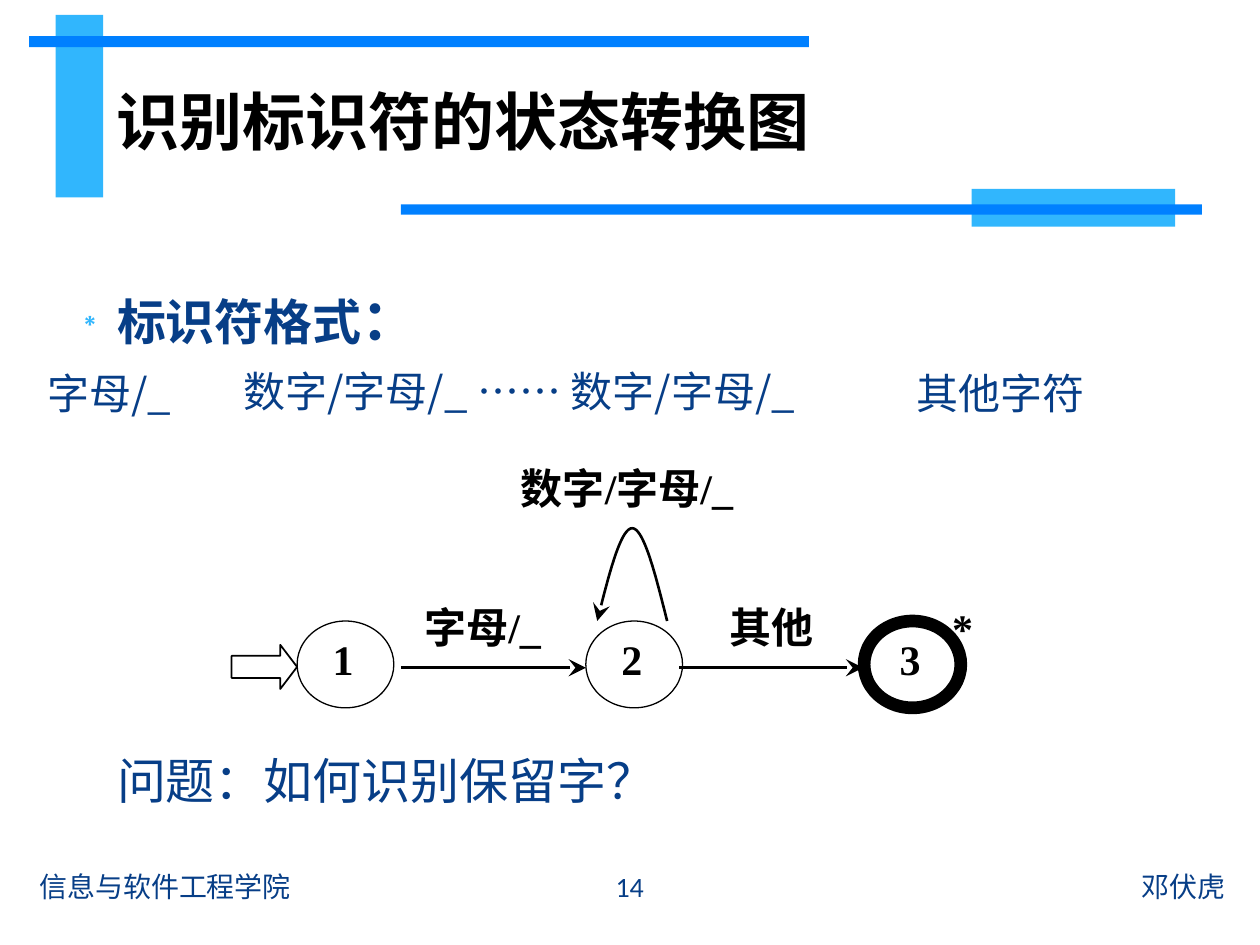
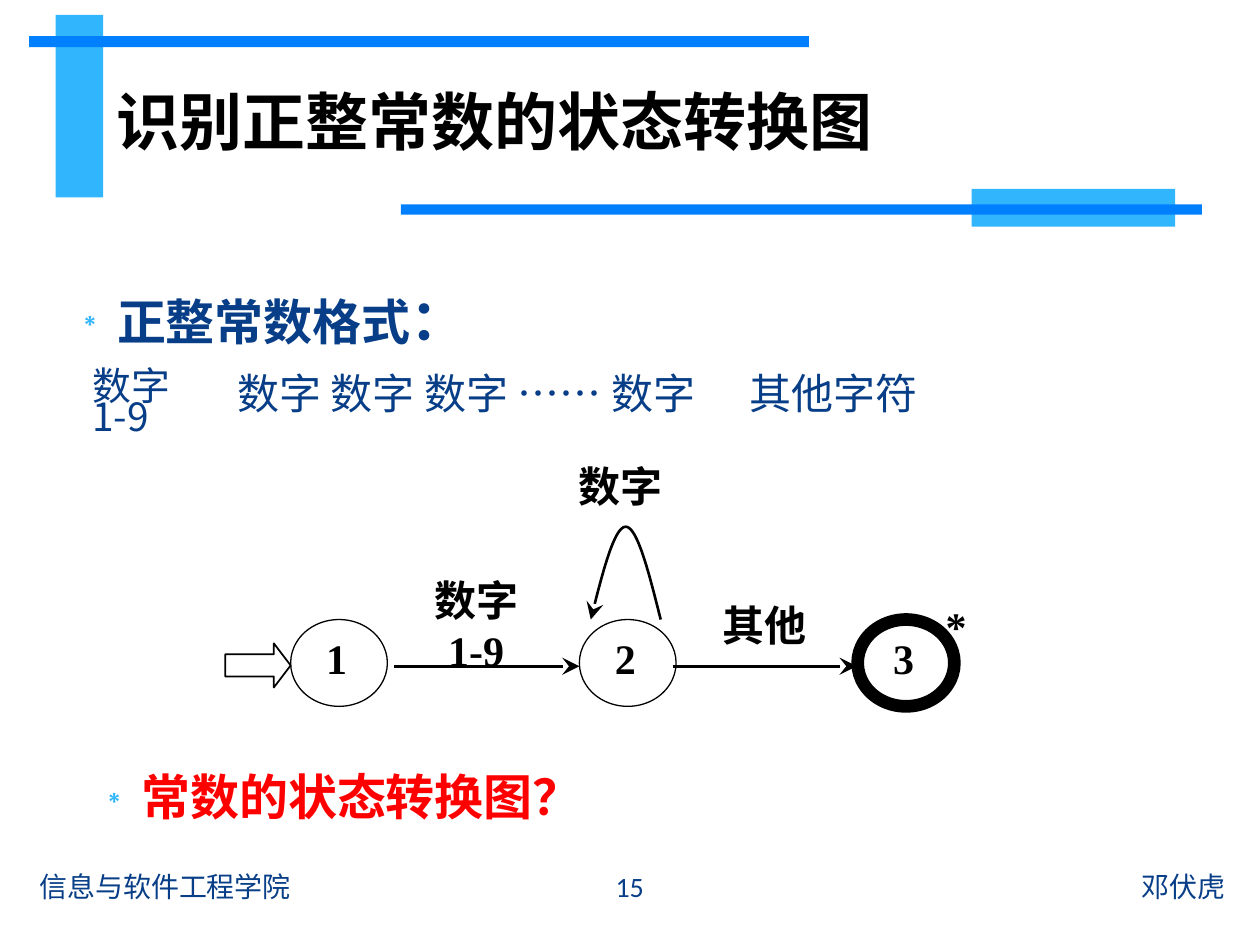
from dataclasses import dataclass, replace
from typing import Optional

from lxml.etree import SubElement
from pptx import Presentation
from pptx.dml.color import RGBColor
from pptx.enum.shapes import MSO_CONNECTOR as Connector, MSO_SHAPE as Preset
from pptx.enum.text import MSO_ANCHOR as Anchor, PP_ALIGN as Align
from pptx.oxml.ns import qn
from pptx.util import Cm, Pt

# Shared colours and fonts
BLACK, NAVY, SKY, BLUE, RED = "000000", "073E87", "31B6FD", "0080FF", "FF0000"
SANS, SERIF = "Noto Sans CJK SC", "Times New Roman"


@dataclass(frozen=True)
class Style:
    size: float
    font: str = SANS
    color: str = NAVY
    bold: bool = False
    align: Align = Align.LEFT
    anchor: Anchor = Anchor.TOP
    line_spacing: Optional[float] = None
    space_before: float = 0
    bullet: bool = False
    wrap: bool = True


@dataclass(frozen=True)
class Box:
    left: float
    top: float
    width: float
    height: float

    def lengths(self) -> tuple:
        return Cm(self.left), Cm(self.top), Cm(self.width), Cm(self.height)

    def moved(self, x: float, y: float) -> "Box":
        return replace(self, left=self.left + x, top=self.top + y)


@dataclass(frozen=True)
class TextItem:
    text: str
    box: Box
    style: Style


@dataclass(frozen=True)
class Diagram:
    left: float
    top: float
    first_label: str
    loop_label: str


@dataclass(frozen=True)
class SlideContent:
    number: int
    title: str
    title_font: str
    heading: str
    diagram: Diagram
    texts: tuple


TITLE = Style(36, color=BLACK, bold=True, anchor=Anchor.MIDDLE)
HEADING = Style(28, bold=True, space_before=6.4, bullet=True)
QUESTION = Style(28, line_spacing=0.7, space_before=5.6)
RED_QUESTION = Style(28, color=RED, bold=True, space_before=5.6, bullet=True)
FORMAT = Style(24, line_spacing=0.7, space_before=4.8)
TIGHT_FORMAT = Style(22.2, line_spacing=0.5, space_before=4.4)
FOOTER = Style(16, "Calibri", anchor=Anchor.MIDDLE)
LABEL = Style(24, SERIF, BLACK, True, Align.CENTER, Anchor.MIDDLE, wrap=False)
STATE = Style(24, SERIF, BLACK, True, Align.JUSTIFY)

TITLE_BOX = Box(2.09, 1.14, 19.61, 2.59)
HEADING_BOX = Box(1.22, 5.61, 7.77, 1.7)
BANDS = (
    (Box(1.12, 0.3, 0.96, 3.68), SKY),
    (Box(0.59, 0.73, 15.72, 0.22), BLUE),
    (Box(19.59, 3.81, 4.1, 0.76), SKY),
    (Box(8.08, 4.12, 16.15, 0.21), BLUE),
)
FOOTER_TOP, FOOTER_HEIGHT = 17.36, 1.02

# Diagram measures, relative to its top left corner
STATE_LEFTS = (1.32, 7.14, 12.75)
STATE_WIDTH, STATE_HEIGHT = 1.95, 1.75
ARROW_SPANS = ((3.41, 7.14), (9.02, 12.73))
ARROW_Y = 0.94
LOOP_LEFT, LOOP_WIDTH, LOOP_HEIGHT = 7.37, 1.41, 1.87
LOOP_STEPS = 24


def rgb(color: str) -> RGBColor:
    return RGBColor.from_string(color)


# Text helpers
def format_run(run, style: Style) -> None:
    run.font.size = Pt(style.size)
    run.font.name = style.font
    run.font.bold = style.bold
    run.font.color.rgb = rgb(style.color)
    SubElement(run._r.get_or_add_rPr(), qn("a:ea"), typeface=SANS)


def add_bullet(paragraph) -> None:
    properties = paragraph._p.get_or_add_pPr()
    properties.set("marL", str(Cm(0.89)))
    properties.set("indent", str(-Cm(0.89)))
    SubElement(SubElement(properties, qn("a:buClr")), qn("a:srgbClr"), val=SKY)
    SubElement(properties, qn("a:buSzPct"), val="70000")
    SubElement(properties, qn("a:buFont"), typeface=SERIF)
    SubElement(properties, qn("a:buChar"), char="∗")


def write_text(shape, text: str, style: Style) -> None:
    frame = shape.text_frame
    frame.text = text
    frame.word_wrap = style.wrap
    frame.vertical_anchor = style.anchor
    for paragraph in frame.paragraphs:
        paragraph.alignment = style.align
        paragraph.space_before = Pt(style.space_before)
        if style.line_spacing:
            paragraph.line_spacing = style.line_spacing
        if style.bullet:
            add_bullet(paragraph)
        for run in paragraph.runs:
            format_run(run, style)


def add_text(slide, item: TextItem):
    shape = slide.shapes.add_textbox(*item.box.lengths())
    write_text(shape, item.text, item.style)
    return shape


# Shape helpers
def add_filled(slide, box: Box, color: str) -> None:
    shape = slide.shapes.add_shape(Preset.RECTANGLE, *box.lengths())
    shape.shadow.inherit = False
    shape.fill.solid()
    shape.fill.fore_color.rgb = rgb(color)
    shape.line.fill.background()


def outline(shape, width: float) -> None:
    shape.shadow.inherit = False
    shape.fill.background()
    shape.line.color.rgb = rgb(BLACK)
    shape.line.width = Pt(width)


def add_arrowhead(shape) -> None:
    SubElement(shape.line._get_or_add_ln(), qn("a:tailEnd"),
               type="stealth", w="lg", len="lg")


def add_arrow(slide, start: float, end: float, y: float) -> None:
    arrow = slide.shapes.add_connector(
        Connector.STRAIGHT, Cm(start), Cm(y), Cm(end), Cm(y))
    arrow.line.color.rgb = rgb(BLACK)
    arrow.line.width = Pt(1.5)
    add_arrowhead(arrow)
    SubElement(arrow._element.spPr, qn("a:effectLst"))


def add_loop(slide, left: float, bottom: float) -> None:
    """Draw two mirrored Bezier halves from right foot to left foot."""
    half = LOOP_WIDTH / 2
    points = []
    for step in range(-LOOP_STEPS, LOOP_STEPS + 1):
        t = abs(step) / LOOP_STEPS  # 0 at the peak, 1 at a foot
        across = t * (1 - t) ** 2 + 2 * t ** 2 * (1 - t) + t ** 3
        down = 3 * t ** 2 * (1 - t) * 0.5 + t ** 3
        side = 1 if step < 0 else -1
        points.append((Cm(left + half * (1 + side * across)),
                       Cm(bottom - LOOP_HEIGHT * (1 - down))))
    builder = slide.shapes.build_freeform(*points[0])
    builder.add_line_segments(points[1:], close=False)
    loop = builder.convert_to_shape()
    outline(loop, 1.5)
    add_arrowhead(loop)


def add_state(slide, name: str, box: Box, line_width: float) -> None:
    state = slide.shapes.add_shape(Preset.OVAL, *box.lengths())
    outline(state, line_width)
    write_text(state, name, STATE)
    frame = state.text_frame
    frame.margin_left = frame.margin_right = Cm(0.43)
    frame.margin_top = frame.margin_bottom = 0


# Slide parts
def add_frame(slide, content: SlideContent) -> None:
    for box, color in BANDS:
        add_filled(slide, box, color)
    footers = (
        ("邓伏虎", 14.43, 10.52, Align.RIGHT),
        ("信息与软件工程学院", 0.55, 10.52, Align.LEFT),
        (str(content.number), 11.08, 3.23, Align.CENTER),
    )
    for text, left, width, align in footers:
        box = Box(left, FOOTER_TOP, width, FOOTER_HEIGHT)
        add_text(slide, TextItem(text, box, replace(FOOTER, align=align)))


def add_title(slide, content: SlideContent) -> None:
    title = slide.shapes.title
    title.left, title.top, title.width, title.height = TITLE_BOX.lengths()
    write_text(title, content.title, replace(TITLE, font=content.title_font))


def add_heading(slide, text: str) -> None:
    heading = add_text(slide, TextItem(text, HEADING_BOX, HEADING))
    colon = heading.text_frame.paragraphs[0].add_run()
    colon.text = "："
    format_run(colon, replace(HEADING, size=32))


def add_diagram(slide, diagram: Diagram) -> None:
    x, y = diagram.left, diagram.top
    for start, end in ARROW_SPANS:
        add_arrow(slide, x + start, x + end, y + ARROW_Y)
    add_loop(slide, x + LOOP_LEFT, y)
    for index, left in enumerate(STATE_LEFTS, start=1):
        box = Box(left, 0, STATE_WIDTH, STATE_HEIGHT).moved(x, y)
        is_final = index == len(STATE_LEFTS)
        add_state(slide, str(index), box, 7.25 if is_final else 0.75)
    labels = (
        (diagram.first_label, Box(3.06, -0.71, 4, 1.63)),
        ("其他", Box(8.88, -0.71, 4, 1.63)),
        (diagram.loop_label, Box(4.47, -3.51, 7, 1.63)),
        ("*", Box(13.92, -0.46, 1.63, 1.17)),
    )
    for text, box in labels:
        add_text(slide, TextItem(text, box.moved(x, y), LABEL))
    entry = slide.shapes.add_shape(
        Preset.RIGHT_ARROW, *Box(0, 0.48, 1.32, 0.89).moved(x, y).lengths())
    entry.adjustments[0], entry.adjustments[1] = 0.5, 0.38
    outline(entry, 1)


SLIDES = (
    SlideContent(
        14, "识别标识符的状态转换图", SANS, "标识符格式",
        Diagram(4.67, 12.52, "字母/_", "数字/字母/_"),
        (
            TextItem("字母/_", Box(0.71, 7.57, 3.4, 1.37), FORMAT),
            TextItem("其他字符", Box(18.23, 7.57, 4.29, 1.37), FORMAT),
            TextItem("数字/字母/_ …… 数字/字母/_",
                     Box(4.66, 7.52, 15.7, 1.37), FORMAT),
            TextItem("问题：如何识别保留字？",
                     Box(2.11, 15.32, 21.79, 1.37), QUESTION),
        )),
    SlideContent(
        15, "识别正整常数的状态转换图", "Arial", "正整常数格式",
        Diagram(4.54, 12.49, "数字\n1-9", "数字"),
        (
            TextItem("数字\n1-9", Box(1.61, 7.57, 2.08, 1.37), TIGHT_FORMAT),
            TextItem("其他字符", Box(14.86, 7.57, 4.29, 1.37), FORMAT),
            TextItem("数字 数字 数字 …… 数字",
                     Box(4.54, 7.57, 12.47, 1.37), FORMAT),
            TextItem("常数的状态转换图？",
                     Box(1.71, 15.32, 13.23, 1.7), RED_QUESTION),
        )),
)


def main() -> None:
    presentation = Presentation()
    presentation.slide_width, presentation.slide_height = Cm(25.4), Cm(19.05)
    title_only = presentation.slide_layouts[5]
    for content in SLIDES:
        slide = presentation.slides.add_slide(title_only)
        add_frame(slide, content)
        add_title(slide, content)
        add_diagram(slide, content.diagram)
        add_heading(slide, content.heading)
        for item in content.texts:
            add_text(slide, item)
    presentation.save("out.pptx")


if __name__ == "__main__":
    main()
